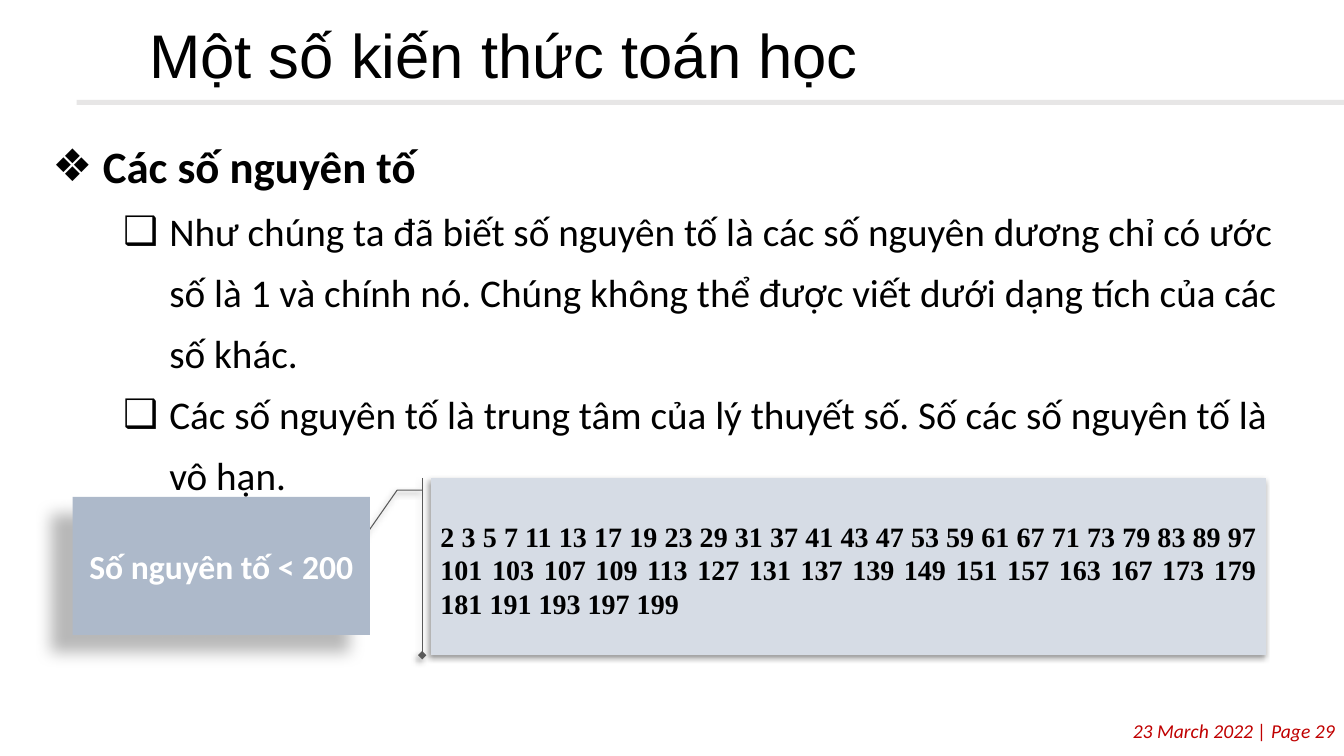
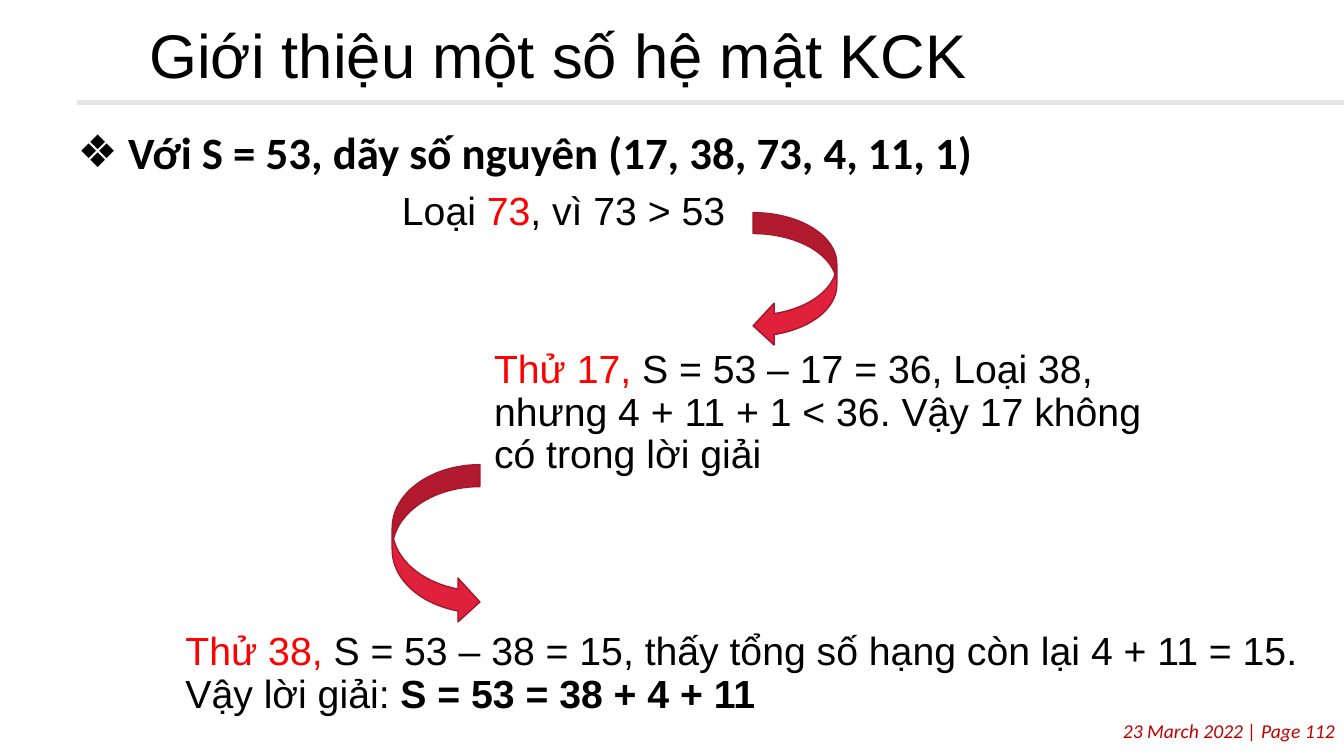
from dataclasses import dataclass

from lxml import etree
from pptx import Presentation
from pptx.dml.color import RGBColor
from pptx.enum import shapes, text
from pptx.oxml import ns
from pptx.util import Inches, Pt


@dataclass(frozen=True)
class Theme:
    ink: str = "000000"
    white: str = "FFFFFF"
    red: str = "FF0000"
    footer: str = "C00000"
    rule: str = "E7E6E6"
    label: str = "ADB9CA"
    panel: str = "D6DCE5"
    panel_line: str = "595959"
    arrow: str = "DF213B"
    arrow_line: str = "A5182C"
    heading_font: str = "Arial"
    body_font: str = "Calibri"
    number_font: str = "Times New Roman"
    title_size: int = 44
    lead_size: int = 32
    text_size: int = 28
    label_size: int = 24
    number_size: int = 20
    footer_size: int = 14


THEME = Theme()
SHAPE = shapes.MSO_SHAPE
ALIGN = text.PP_ALIGN
MIDDLE = text.MSO_ANCHOR.MIDDLE

BULLETS = [
    {"char": "❖", "left": 0.67, "hang": 0.5, "size": THEME.lead_size, "bold": True},
    {"char": "❑", "left": 1.33, "hang": 0.46, "size": THEME.text_size, "bold": False},
]

PRIMES_PAGE = {
    "title": "Một số kiến thức toán học",
    "number": 29,
    "body_at": (0.25, 1.12, 12.8, 5.85),
    "items": [
        (0, "Các số nguyên tố"),
        (1, "Như chúng ta đã biết số nguyên tố là các số nguyên dương chỉ có ước số là 1 "
            "và chính nó. Chúng không thể được viết dưới dạng tích của các số khác."),
        (1, "Các số nguyên tố là trung tâm của lý thuyết số. Số các số nguyên tố là vô hạn."),
    ],
}
PRIMES_LABEL = "Số nguyên tố < 200"
PRIMES = ("2 3 5 7 11 13 17 19 23 29 31 37 41 43 47 53 59 61 67 71 73 79 83 89 97 "
          "101 103 107 109 113 127 131 137 139 149 151 157 163 167 173 179 "
          "181 191 193 197 199")
CALLOUT_BENDS = (0.07, -0.01, 0.07, -0.04, 0.34, -0.08)

KNAPSACK_PAGE = {
    "title": "Giới thiệu một số hệ mật KCK",
    "number": 112,
    "body_at": (0.5, 0.98, 12.66, 5.85),
    "items": [(0, "Với S = 53, dãy số nguyên (17, 38, 73, 4, 11, 1)")],
}
STEPS = [
    ((3.77, 1.61, 3.64, 1), ALIGN.CENTER,
     [("Loại ", {}), ("73", {"color": THEME.red}), (", vì 73 > 53", {})]),
    ((4.89, 3.44, 6.77, 1.32), ALIGN.LEFT,
     [("Thử 17, ", {"color": THEME.red}),
      ("S = 53 – 17 = 36, Loại 38, nhưng 4 + 11 + 1 < 36. "
       "Vậy 17 không có trong lời giải", {})]),
    ((1.83, 6.19, 11.33, 1), ALIGN.LEFT,
     [("Thử 38, ", {"color": THEME.red}),
      ("S = 53 – 38 = 15, thấy tổng số hạng còn lại 4 + 11 = 15. Vậy lời giải: ", {}),
      ("S = 53 = 38 + 4 + 11", {"bold": True})]),
]
ARROWS = [
    (SHAPE.CURVED_LEFT_ARROW, (7.47, 2.11, 0.83, 1.33)),
    (SHAPE.CURVED_RIGHT_ARROW, (3.89, 4.61, 0.87, 1.58)),
]


def lengths(values):
    return [Inches(value) for value in values]


def add_element(parent, tag, **attributes):
    element = etree.SubElement(parent, ns.qn(tag))
    for name, value in attributes.items():
        element.set(name, str(value))
    return element


def add_span(para, words, font, size, color=THEME.ink, bold=False, italic=False):
    span = para.add_run()
    span.text = words
    span.font.name = font
    span.font.size = Pt(size)
    span.font.bold = bold
    span.font.italic = italic
    span.font.color.rgb = RGBColor.from_string(color)


def add_box(page, at, margin=None, anchor=None):
    frame = page.shapes.add_textbox(*lengths(at)).text_frame
    frame.word_wrap = True
    if margin is not None:
        set_margins(frame, margin)
    if anchor is not None:
        frame.vertical_anchor = anchor
    return frame.paragraphs[0]


def set_margins(frame, margin):
    frame.margin_left = frame.margin_right = Inches(margin)
    frame.margin_top = frame.margin_bottom = Inches(margin)


def add_filled(page, kind, at, fill, line=None, width=1):
    shape = page.shapes.add_shape(kind, *lengths(at))
    shape.shadow.inherit = False
    shape.fill.solid()
    shape.fill.fore_color.rgb = RGBColor.from_string(fill)
    if line:
        shape.line.color.rgb = RGBColor.from_string(line)
        shape.line.width = Pt(width)
    else:
        shape.line.fill.background()
    return shape


def add_shadow(shape, opacity, blur, distance, angle):
    effects = shape.element.spPr.find(ns.qn("a:effectLst"))
    outer = add_element(effects, "a:outerShdw", blurRad=int(Pt(blur)), dist=int(Pt(distance)),
                        dir=angle * 60000, algn="ctr", rotWithShape=0)
    color = add_element(outer, "a:srgbClr", val=THEME.ink)
    add_element(color, "a:alpha", val=opacity * 1000)


def place(placeholder, at):
    placeholder.left, placeholder.top, placeholder.width, placeholder.height = lengths(at)
    frame = placeholder.text_frame
    frame.auto_size = text.MSO_AUTO_SIZE.NONE
    return frame


def add_item(para, level, words):
    style = BULLETS[level]
    para.level = level
    properties = para._p.get_or_add_pPr()
    properties.set("marL", str(int(Inches(style["left"]))))
    properties.set("indent", str(-int(Inches(style["hang"]))))
    add_element(properties, "a:buFont", typeface=THEME.heading_font)
    add_element(properties, "a:buChar", char=style["char"])
    para.line_spacing = 1.3
    para.space_before = Pt(0)
    add_span(para, words, THEME.body_font, style["size"], bold=style["bold"])


def add_page(deck, content):
    page = deck.slides.add_slide(deck.slide_layouts[1])
    para = add_box(page, (0.05, 7.08, 13.29, 0.34))
    para.alignment = ALIGN.RIGHT
    add_span(para, f"23 March 2022 | Page {content['number']}", THEME.body_font,
             THEME.footer_size, THEME.footer, italic=True)
    add_filled(page, SHAPE.RECTANGLE, (0.76, 0.99, 12.58, 0.05), THEME.rule)

    title = place(page.shapes.title, (1.21, 0.19, 12.05, 0.78))
    title.margin_left = Inches(0.27)
    title.vertical_anchor = MIDDLE
    para = title.paragraphs[0]
    para.alignment = ALIGN.LEFT
    para.line_spacing = 0.9
    add_span(para, content["title"], THEME.heading_font, THEME.title_size)

    body = place(page.placeholders[1], content["body_at"])
    set_margins(body, 0.1)
    for index, (level, words) in enumerate(content["items"]):
        add_item(body.add_paragraph() if index else body.paragraphs[0], level, words)
    return page


def add_primes(page):
    callout = add_filled(page, SHAPE.LINE_CALLOUT_2_ACCENT_BAR, (4.27, 4.74, 8.29, 1.76),
                         THEME.panel, THEME.panel_line, 0.75)
    for index, bend in enumerate(CALLOUT_BENDS):
        callout.adjustments[index] = bend
    add_element(callout.line._get_or_add_ln(), "a:tailEnd", type="diamond")
    add_shadow(callout, 40, 4, 3, 135)
    label = add_filled(page, SHAPE.RECTANGLE, (0.72, 4.93, 2.95, 1.37), THEME.label)
    add_shadow(label, 28, 11.8, 19.7, 141)
    callout.text_frame.margin_top = Inches(0.11)

    for shape, words, alignment, font, size, color in (
        (callout, PRIMES, ALIGN.JUSTIFY, THEME.number_font, THEME.number_size, THEME.ink),
        (label, PRIMES_LABEL, ALIGN.CENTER, THEME.body_font, THEME.label_size, THEME.white),
    ):
        shape.text_frame.vertical_anchor = MIDDLE
        para = shape.text_frame.paragraphs[0]
        para.alignment = alignment
        add_span(para, words, font, size, color, bold=True)


def add_steps(page):
    for kind, at in ARROWS:
        add_filled(page, kind, at, THEME.arrow, THEME.arrow_line)
    for at, alignment, spans in STEPS:
        para = add_box(page, at, 0.01, MIDDLE)
        para.alignment = alignment
        para.line_spacing = 0.9
        for words, style in spans:
            add_span(para, words, THEME.heading_font, THEME.text_size, **style)


def main():
    deck = Presentation()
    deck.slide_width, deck.slide_height = lengths((13.33, 7.5))
    add_primes(add_page(deck, PRIMES_PAGE))
    add_steps(add_page(deck, KNAPSACK_PAGE))
    deck.save("out.pptx")


if __name__ == "__main__":
    main()
